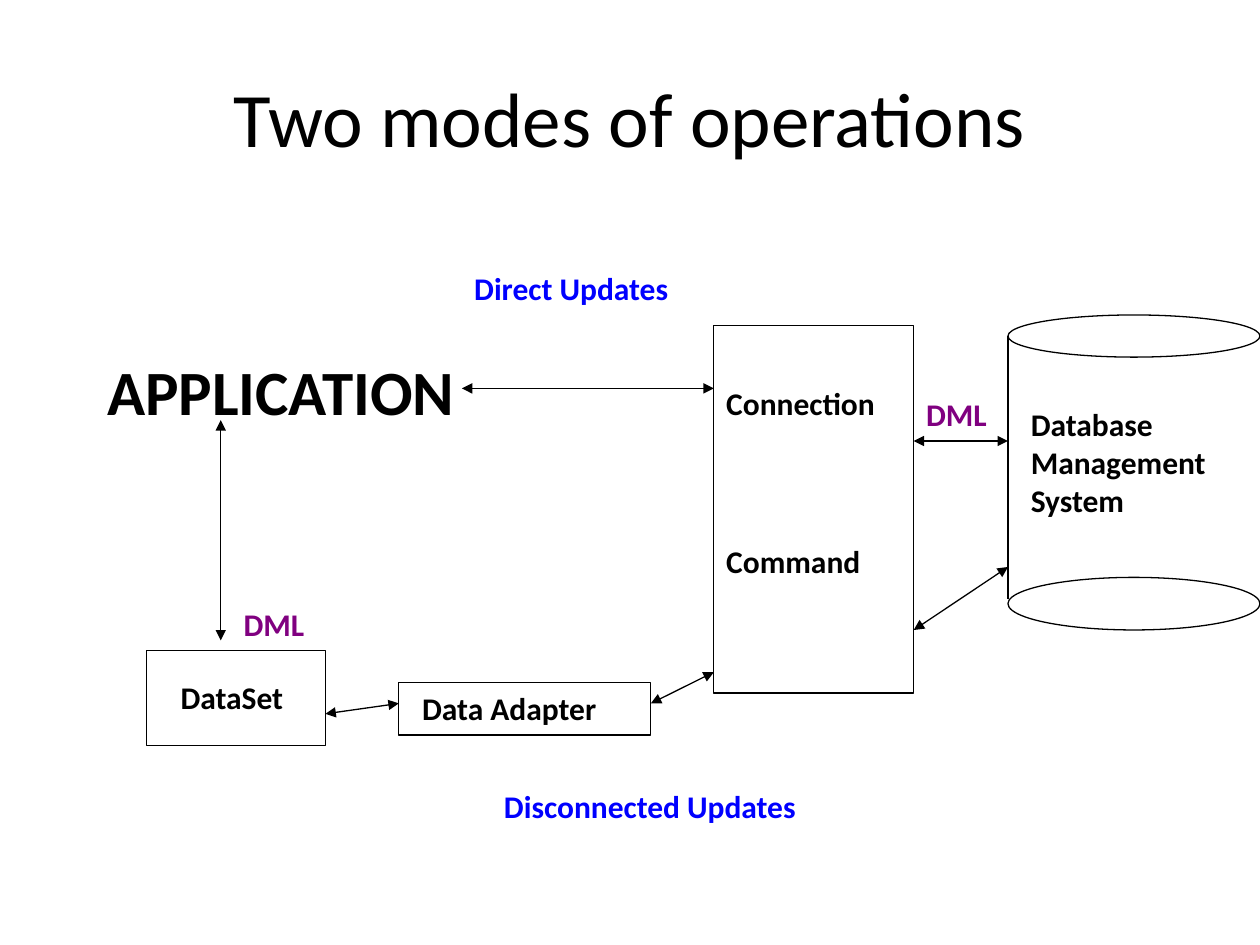
from dataclasses import dataclass

import pptx
import pptx.dml.color
import pptx.enum.shapes
import pptx.enum.text
import pptx.oxml.ns
import pptx.util
from lxml import etree

Cm, Pt = pptx.util.Cm, pptx.util.Pt
RGB = pptx.dml.color.RGBColor
SHAPE = pptx.enum.shapes.MSO_SHAPE
ALIGN = pptx.enum.text.PP_ALIGN
ANCHOR = pptx.enum.text.MSO_ANCHOR
qn = pptx.oxml.ns.qn


@dataclass(frozen=True)
class Theme:
    font: str = "Calibri"
    ink: RGB = RGB(0, 0, 0)
    mode: RGB = RGB(0, 0, 255)
    dml: RGB = RGB(128, 0, 128)
    title: int = 44
    heading: int = 36
    body: int = 18
    line: float = 0.75


theme = Theme()

prs = pptx.Presentation()
prs.slide_width, prs.slide_height = Cm(25.4), Cm(19.05)
s = prs.slides.add_slide(prs.slide_layouts[6])


def add_text(text, x, y, w, h=1.02, size=theme.body, color=theme.ink, bold=True):
    """Add a text box with one paragraph per line and return its text frame."""
    tf = s.shapes.add_textbox(Cm(x), Cm(y), Cm(w), Cm(h)).text_frame
    tf.word_wrap = True
    tf.text = text
    for p in tf.paragraphs:
        p.font.name = theme.font
        p.font.size = Pt(size)
        p.font.bold = bold
        p.font.color.rgb = color
    return tf


def add_line(x1, y1, x2, y2, arrows=True):
    c = s.shapes.add_connector(
        pptx.enum.shapes.MSO_CONNECTOR.STRAIGHT, Cm(x1), Cm(y1), Cm(x2), Cm(y2))
    c.line.color.rgb = theme.ink
    c.line.width = Pt(theme.line)
    if arrows:
        ln = c.line._get_or_add_ln()
        for end in ("a:headEnd", "a:tailEnd"):
            etree.SubElement(ln, qn(end), type="triangle")
    etree.SubElement(c._element.spPr, qn("a:effectLst"))


# Title
tf = add_text("Two modes of operations", 1.27, 0.76, 22.86, 3.18,
              size=theme.title, bold=False)
tf.vertical_anchor = ANCHOR.MIDDLE
tf.paragraphs[0].alignment = ALIGN.CENTER

# Component boxes and the two ends of the database cylinder
for kind, x, y, w, h in [
    (SHAPE.RECTANGLE, 2.96, 13.12, 3.6, 1.91),
    (SHAPE.RECTANGLE, 8.04, 13.76, 5.08, 1.06),
    (SHAPE.RECTANGLE, 14.39, 6.56, 4.03, 7.41),
    (SHAPE.OVAL, 20.32, 6.35, 5.08, 0.85),
    (SHAPE.OVAL, 20.32, 11.64, 5.08, 1.06),
]:
    sp = s.shapes.add_shape(kind, Cm(x), Cm(y), Cm(w), Cm(h))
    sp.shadow.inherit = False
    sp.fill.background()
    sp.line.color.rgb = theme.ink
    sp.line.width = Pt(theme.line)

# Cylinder side
add_line(20.32, 6.77, 20.32, 12.07, arrows=False)

# Data flows
for ends in [
    (4.45, 8.47, 4.45, 12.91),      # application - data set
    (6.56, 14.39, 8.04, 14.18),     # data set - adapter
    (13.12, 14.18, 14.39, 13.55),   # adapter - command
    (18.42, 12.7, 20.32, 11.43),    # command - database
    (9.31, 7.83, 14.39, 7.83),      # application - connection
    (18.42, 8.89, 20.32, 8.89),     # connection - database
]:
    add_line(*ends)

# Component names
add_text("APPLICATION", 1.91, 6.99, 7.62, 1.8, size=theme.heading)
add_text("Database\nManagement\nSystem", 20.53, 8.05, 4.67, 2.54)
for name, x, y, w in [
    ("DataSet", 3.39, 13.55, 3.05),
    ("Data Adapter", 8.26, 13.76, 4.72),
    ("Connection", 14.39, 7.62, 4.11),
    ("Command", 14.39, 10.8, 3.73),
]:
    add_text(name, x, y, w)

# Mode and flow labels
for label, x, y, w, color in [
    ("Direct Updates", 9.31, 5.29, 5.23, theme.mode),
    ("Disconnected Updates", 9.91, 15.75, 7.62, theme.mode),
    ("DML", 4.66, 12.07, 1.93, theme.dml),
    ("DML", 18.42, 7.83, 1.93, theme.dml),
]:
    add_text(label, x, y, w, color=color)

prs.save("out.pptx")
